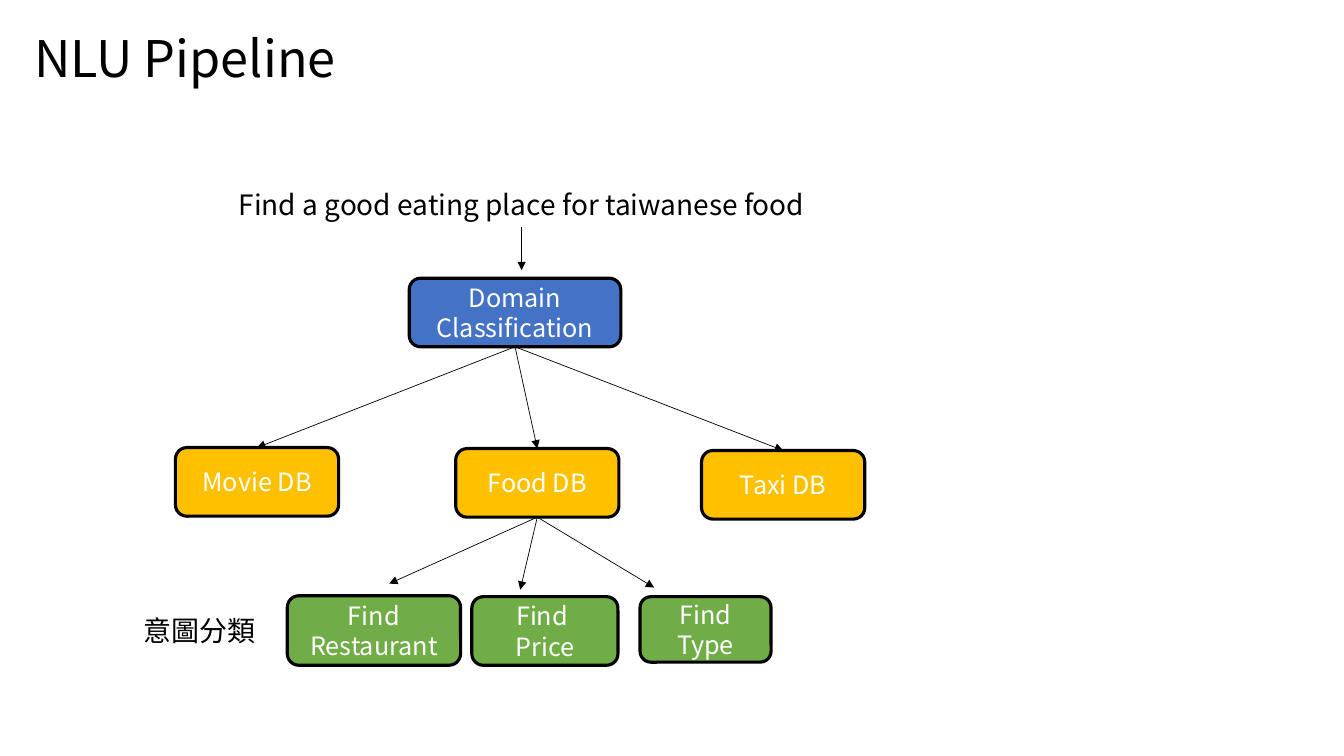
from lxml.etree import SubElement
from pptx import Presentation
from pptx.dml.color import RGBColor
from pptx.enum.shapes import MSO_CONNECTOR, MSO_SHAPE
from pptx.enum.text import MSO_ANCHOR, PP_ALIGN
from pptx.oxml.ns import qn
from pptx.util import Pt

FONT = "Noto Sans CJK SC"
BLACK = RGBColor(0x00, 0x00, 0x00)
WHITE = RGBColor(0xFF, 0xFF, 0xFF)
BLUE = RGBColor(0x44, 0x72, 0xC4)
GOLD = RGBColor(0xFF, 0xC0, 0x00)
GREEN = RGBColor(0x70, 0xAD, 0x47)


def write(shape, text, size, color, wrap=True):
    """Fill a shape with centred text."""
    frame = shape.text_frame
    frame.text = text
    frame.word_wrap = wrap
    for para in frame.paragraphs:
        para.alignment = PP_ALIGN.CENTER
        for run in para.runs:
            run.font.size = Pt(size)
            run.font.name = FONT
            run.font.color.rgb = color
            SubElement(run.font._element, qn("a:ea"), typeface=FONT)


def label(slide, text, left, top, width, height, wrap=True):
    """Add a plain line of text."""
    box = slide.shapes.add_textbox(Pt(left), Pt(top), Pt(width), Pt(height))
    write(box, text, 20, BLACK, wrap)


def node(slide, text, fill, left, top, width, height):
    """Add a rounded box and return it."""
    box = slide.shapes.add_shape(
        MSO_SHAPE.ROUNDED_RECTANGLE, Pt(left), Pt(top), Pt(width), Pt(height))
    box.shadow.inherit = False
    box.fill.solid()
    box.fill.fore_color.rgb = fill
    box.line.color.rgb = BLACK
    box.line.width = Pt(2.25)
    write(box, text, 18, WHITE)
    box.text_frame.vertical_anchor = MSO_ANCHOR.MIDDLE
    return box


def arrow(slide, start, end):
    """Draw an arrow; each end is a point or a (box, side) joint."""
    line = slide.shapes.add_connector(MSO_CONNECTOR.STRAIGHT, 0, 0, 0, 0)
    if isinstance(start[0], (int, float)):
        line.begin_x, line.begin_y = Pt(start[0]), Pt(start[1])
    else:
        line.begin_connect(*start)
    if isinstance(end[0], (int, float)):
        line.end_x, line.end_y = Pt(end[0]), Pt(end[1])
    else:
        line.end_connect(*end)
    line.line.color.rgb = BLACK
    line.line.width = Pt(0.5)
    SubElement(line.line._get_or_add_ln(), qn("a:tailEnd"), type="triangle")
    SubElement(line._element.spPr, qn("a:effectLst"))


def header(slide, left, top, width, height):
    """Place the slide title."""
    title = slide.shapes.title
    title.left, title.top = Pt(left), Pt(top)
    title.width, title.height = Pt(width), Pt(height)
    write(title, "NLU Pipeline", 36, BLACK, False)
    title.text_frame.vertical_anchor = MSO_ANCHOR.TOP


def query(slide, left, top, width, height):
    """Place the user's sentence and the arrow below it."""
    label(slide, "Find a good eating place for taiwanese food",
          left, top, width, height, False)
    mid, base = left + width / 2, top + height
    arrow(slide, (mid, base), (mid, base + 31))


def domains(slide, left, top, width, height):
    """Place the domain tree and return the food box."""
    root = node(slide, "Domain Classification", BLUE,
                left + 167, top, 151.2, height)
    boxes = {}
    for name, dx, dy in (("Movie", 0, 121), ("Food", 200.2, 121.7),
                         ("Taxi", 375.8, 123.1)):
        boxes[name] = node(slide, f"{name} DB", GOLD,
                           left + dx, top + dy, width, height)
        arrow(slide, (root, 2), (boxes[name], 0))
    return boxes["Food"]


def intents(slide, food, left, top):
    """Place the intent row below the food box."""
    label(slide, "意圖分類", left, top + 9.4, 200.9, 31.7)
    for text, dx, dy, width, height, tip, gap in (
            ("Find Restaurant", 163.4, 0, 123.8, 49.7, 236.2, -8.6),
            ("Find \nPrice", 295.2, 0.7, 104.4, 49, 329.8, -4.3),
            ("Find Type", 415.4, 0.7, 93.6, 46.8, 425.5, -5.8)):
        node(slide, text, GREEN, left + dx, top + dy, width, height)
        arrow(slide, (food, 2), (left + tip, top + gap))


def main():
    """Build and save the slide."""
    deck = Presentation()
    deck.slide_width, deck.slide_height = Pt(960), Pt(540)
    slide = deck.slides.add_slide(deck.slide_layouts[5])
    header(slide, 15.1, 15.8, 234, 51.1)
    query(slide, 157.7, 130.3, 429.8, 31.7)
    food = domains(slide, 125.3, 198.7, 116.6, 49)
    intents(slide, food, 41.8, 425.5)
    deck.save("out.pptx")


if __name__ == "__main__":
    main()
